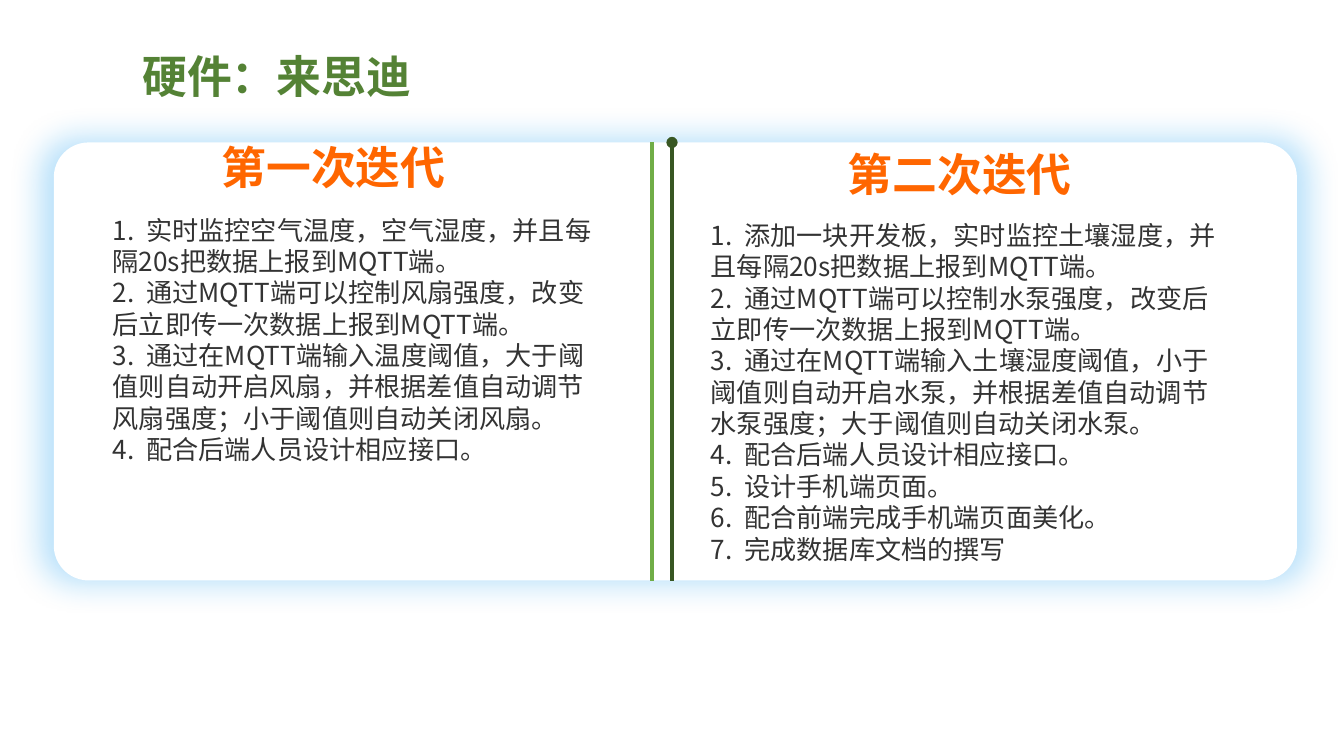
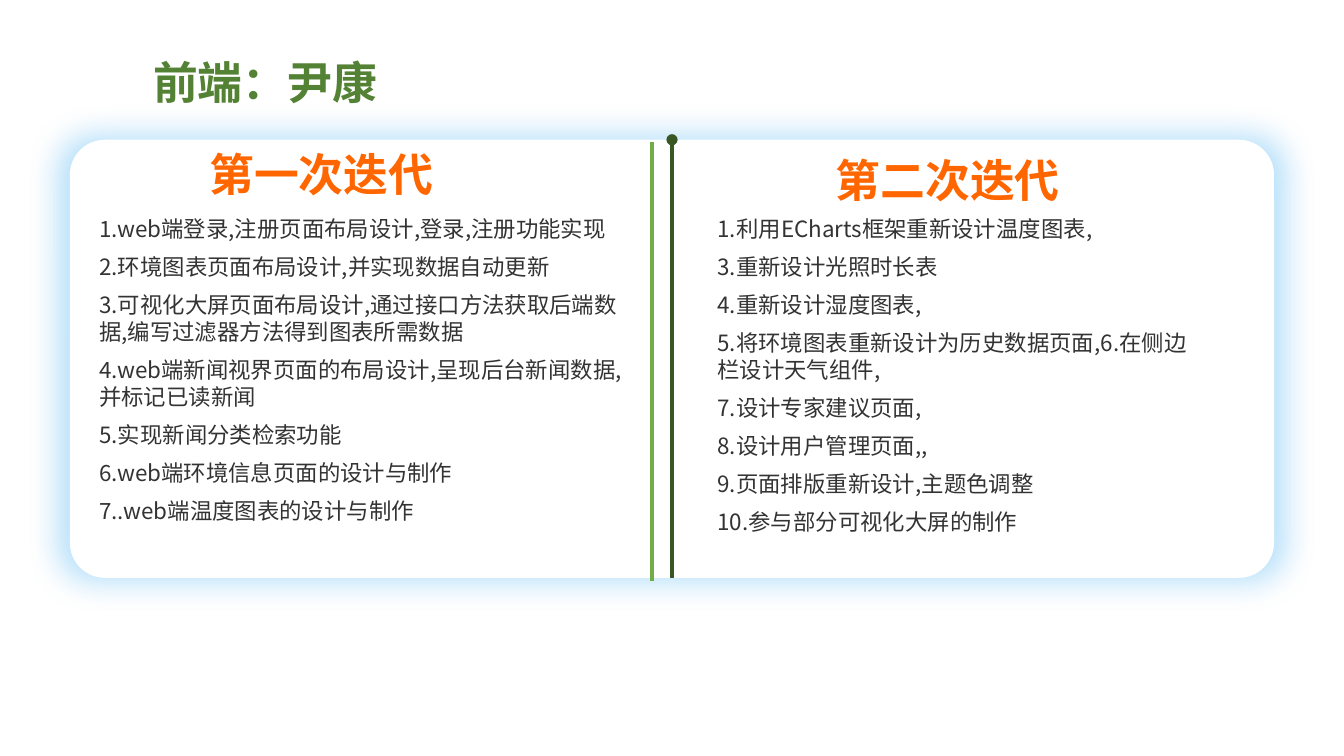
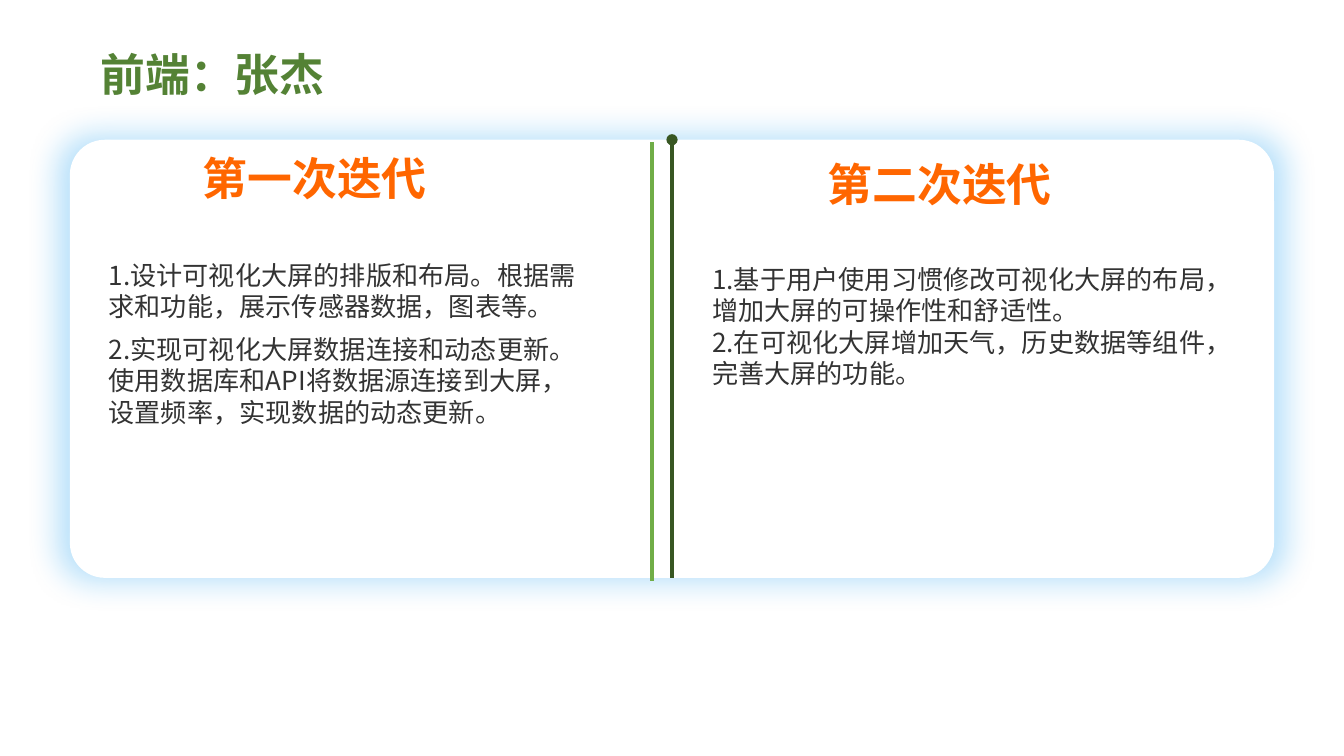
"""Build three slides that compare each member's work over two iterations."""
import lxml.etree
import pptx
import pptx.dml.color
import pptx.enum.shapes
import pptx.enum.text
import pptx.oxml.ns
import pptx.util
from pptx.util import Inches

THEME = {
    "font": "Noto Sans CJK SC",
    "title": "548235", "heading": "FF6600", "body": "333333",
    "card": "FFFFFF", "glow": "0D98F0",
    "light_rule": "70AD47", "dark_rule": "385723",
    "display_size": 24,
}
RGB = pptx.dml.color.RGBColor.from_string
qn = pptx.oxml.ns.qn
ANCHOR = pptx.enum.text.MSO_ANCHOR


def add_text(s, box, lines, size, color, bold=False, spaced=False, middle=False):
    sp = s.shapes.add_textbox(*map(Inches, box))
    tf = sp.text_frame
    tf.word_wrap = True
    tf.auto_size = pptx.enum.text.MSO_AUTO_SIZE.SHAPE_TO_FIT_TEXT
    tf.vertical_anchor = ANCHOR.MIDDLE if middle else ANCHOR.TOP
    for i, line in enumerate(lines):
        p = tf.add_paragraph() if i else tf.paragraphs[0]
        if spaced:
            p.space_before = p.space_after = pptx.util.Pt(3)
            pPr = p._p.get_or_add_pPr()
            pPr.set("marL", str(Inches(0.24)))
            pPr.set("indent", "0")
        r = p.add_run()
        r.text = line
        r.font.size = pptx.util.Pt(size)
        r.font.bold = bold
        r.font.color.rgb = RGB(color)
        r.font.name = THEME["font"]
        ea = lxml.etree.SubElement(r._r.get_or_add_rPr(), qn("a:ea"))
        ea.set("typeface", THEME["font"])


def add_rule(s, x, start, end, color, width):
    cx = s.shapes.add_connector(
        pptx.enum.shapes.MSO_CONNECTOR.STRAIGHT,
        Inches(x), Inches(start), Inches(x), Inches(end))
    cx.line.color.rgb = RGB(color)
    cx.line.width = pptx.util.Pt(width)
    lxml.etree.SubElement(cx._element.spPr, qn("a:effectLst"))
    return cx


slides = [
    {
        "title": ("硬件：来思迪", 0.96, 0.31),
        "card": (0.4, 1.06, 9.25, 3.26),
        "size": 14,
        "columns": [
            {
                "heading": ("第一次迭代", 1.55, 0.99),
                "box": (0.74, 1.53, 3.78, 1.99), "middle": True,
                "lines": [
                    "1.  实时监控空气温度，空气湿度，并且每隔20s把数据上报到MQTT端。",
                    "2.  通过MQTT端可以控制风扇强度，改变后立即传一次数据上报到MQTT端。",
                    "3.  通过在MQTT端输入温度阈值，大于阈值则自动开启风扇，并根据差值自动调节风扇强度；小于阈值则自动关闭风扇。",
                    "4.  配合后端人员设计相应接口。",
                ],
            },
            {
                "heading": ("第二次迭代", 6.21, 1.04),
                "box": (5.19, 1.57, 3.98, 2.69), "middle": True,
                "lines": [
                    "1.  添加一块开发板，实时监控土壤湿度，并且每隔20s把数据上报到MQTT端。",
                    "2.  通过MQTT端可以控制水泵强度，改变后立即传一次数据上报到MQTT端。",
                    "3.  通过在MQTT端输入土壤湿度阈值，小于阈值则自动开启水泵，并根据差值自动调节水泵强度；大于阈值则自动关闭水泵。",
                    "4.  配合后端人员设计相应接口。",
                    "5.  设计手机端页面。",
                    "6.  配合前端完成手机端页面美化。",
                    "7.  完成数据库文档的撰写",
                ],
            },
        ],
    },
    {
        "title": ("前端：尹康", 1.04, 0.36),
        "card": (0.52, 1.04, 8.96, 3.26),
        "size": 12,
        "columns": [
            {
                "heading": ("第一次迭代", 1.46, 1.04),
                "box": (0.4, 1.55, 4.3, 2.71), "spaced": True,
                "lines": [
                    "1.web端登录,注册页面布局设计,登录,注册功能实现",
                    "2.环境图表页面布局设计,并实现数据自动更新",
                    "3.可视化大屏页面布局设计,通过接口方法获取后端数据,编写过滤器方法得到图表所需数据",
                    "4.web端新闻视界页面的布局设计,呈现后台新闻数据,并标记已读新闻",
                    "5.实现新闻分类检索功能",
                    "6.web端环境信息页面的设计与制作",
                    "7..web端温度图表的设计与制作",
                ],
            },
            {
                "heading": ("第二次迭代", 6.12, 1.09),
                "box": (5, 1.55, 3.95, 2.51), "spaced": True,
                "lines": [
                    "1.利用ECharts框架重新设计温度图表,",
                    "3.重新设计光照时长表",
                    "4.重新设计湿度图表,",
                    "5.将环境图表重新设计为历史数据页面,6.在侧边栏设计天气组件,",
                    "7.设计专家建议页面,",
                    "8.设计用户管理页面,,",
                    "9.页面排版重新设计,主题色调整",
                    "10.参与部分可视化大屏的制作",
                ],
            },
        ],
    },
    {
        "title": ("前端：张杰", 0.65, 0.3),
        "card": (0.52, 1.04, 8.96, 3.26),
        "size": 14,
        "columns": [
            {
                "heading": ("第一次迭代", 1.41, 1.07),
                "box": (0.47, 1.88, 4.03, 1.36), "spaced": True,
                "lines": [
                    "1.设计可视化大屏的排版和布局。根据需求和功能，展示传感器数据，图表等。",
                    "2.实现可视化大屏数据连接和动态更新。使用数据库和API将数据源连接到大屏，设置频率，实现数据的动态更新。",
                ],
            },
            {
                "heading": ("第二次迭代", 6.06, 1.12),
                "box": (5.2, 1.91, 3.98, 1.04),
                "lines": [
                    "1.基于用户使用习惯修改可视化大屏的布局，增加大屏的可操作性和舒适性。",
                    "2.在可视化大屏增加天气，历史数据等组件，完善大屏的功能。",
                ],
            },
        ],
    },
]

prs = pptx.Presentation()
prs.slide_width = Inches(10)
prs.slide_height = Inches(10 * 9 / 16)

for content in slides:
    s = prs.slides.add_slide(prs.slide_layouts[6])

    card = s.shapes.add_shape(
        pptx.enum.shapes.MSO_SHAPE.ROUNDED_RECTANGLE, *map(Inches, content["card"]))
    card.adjustments[0] = 0.08
    card.fill.solid()
    card.fill.fore_color.rgb = RGB(THEME["card"])
    card.line.fill.background()
    card.shadow.inherit = False
    effects = card._element.spPr.find(qn("a:effectLst"))
    glow = lxml.etree.SubElement(
        effects, qn("a:outerShdw"), blurRad=str(pptx.util.Pt(17)), dist="0", dir="0",
        sx="102000", sy="102000", algn="ctr", rotWithShape="0")
    tint = lxml.etree.SubElement(glow, qn("a:srgbClr"), val=THEME["glow"])
    lxml.etree.SubElement(tint, qn("a:alpha"), val="30000")

    top, height = content["card"][1], content["card"][3]
    add_rule(s, 4.85, 1.06, 4.32, THEME["light_rule"], 2.25)
    dark = add_rule(s, 5, top + height, top, THEME["dark_rule"], 2)
    ln = dark._element.spPr.find(qn("a:ln"))
    lxml.etree.SubElement(ln, qn("a:tailEnd"), type="oval")

    title, x, y = content["title"]
    add_text(s, (x, y, 2.62, 0.5), [title], THEME["display_size"], THEME["title"], bold=True)

    for column in content["columns"]:
        heading, x, y = column["heading"]
        add_text(s, (x, y, 2.4, 0.5), [heading],
                 THEME["display_size"], THEME["heading"], bold=True)
        add_text(s, column["box"], column["lines"], content["size"], THEME["body"],
                 spaced=column.get("spaced", False), middle=column.get("middle", False))

prs.save("out.pptx")
